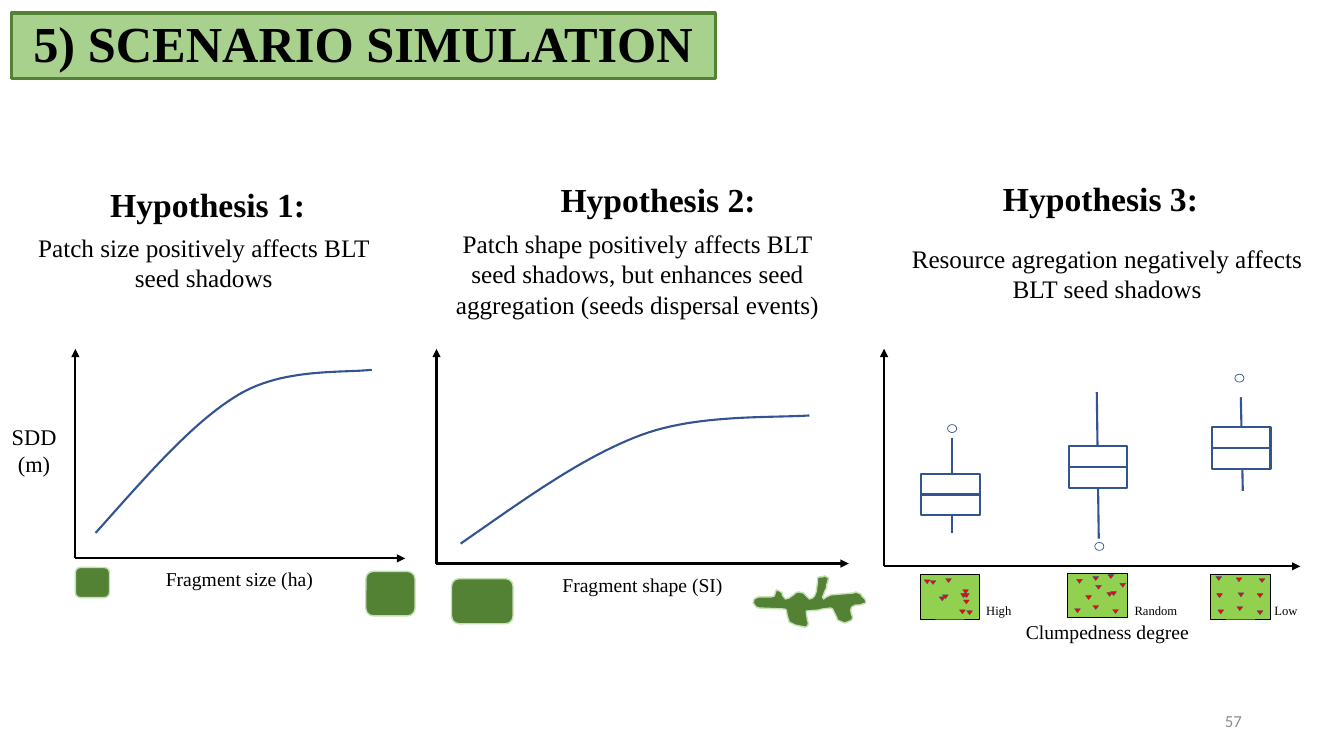
from lxml import etree
from pptx import Presentation
from pptx.dml.color import RGBColor
from pptx.enum.shapes import MSO_CONNECTOR, MSO_SHAPE
from pptx.enum.text import MSO_ANCHOR, PP_ALIGN
from pptx.oxml.ns import qn
from pptx.util import Cm, Pt

RECT, ROUND = MSO_SHAPE.RECTANGLE, MSO_SHAPE.ROUNDED_RECTANGLE
OVAL, MERGE = MSO_SHAPE.OVAL, MSO_SHAPE.FLOWCHART_MERGE
LINE = MSO_CONNECTOR.STRAIGHT
TOP, MIDDLE, BOTTOM = MSO_ANCHOR.TOP, MSO_ANCHOR.MIDDLE, MSO_ANCHOR.BOTTOM
CENTER, RIGHT = PP_ALIGN.CENTER, PP_ALIGN.RIGHT

BLACK = RGBColor(0x00, 0x00, 0x00)
WHITE = RGBColor(0xFF, 0xFF, 0xFF)
GRAY = RGBColor(0x8C, 0x8C, 0x8C)
BLUE = RGBColor(0x32, 0x54, 0x91)
RED = RGBColor(0xFF, 0x00, 0x00)
FOREST = RGBColor(0x54, 0x82, 0x35)
PALE = RGBColor(0xC5, 0xE0, 0xB4)
LIGHT = RGBColor(0xA9, 0xD1, 0x8E)
LIME = RGBColor(0x92, 0xD0, 0x50)

# Two cubic pieces of the rising curve, in a unit box
CURVE = [((0, 1), (0.18, 0.66), (0.35, 0.32), (0.52, 0.15)),
         ((0.52, 0.15), (0.68, -0.01), (0.89, 0.02), (1, 0))]

# Outline of the irregular fragment, on a 112 by 51 grid
BLOB = [
    (21, 20), (23, 14), (26, 15), (29, 17), (29, 19), (32, 23), (36, 22),
    (37, 21), (40, 19), (42, 17), (45, 16), (50, 17), (53, 20), (55, 22),
    (56, 23), (59, 22), (61, 20), (63, 15), (63, 13), (64, 7), (64, 2),
    (66, 1), (69, 1), (71, 0), (75, 2), (74, 7), (73, 9), (73, 12),
    (71, 16), (70, 19), (69, 21), (70, 23), (73, 21), (77, 19), (100, 17),
    (102, 16), (107, 18), (108, 20), (111, 23), (112, 25), (112, 27),
    (106, 29), (102, 29), (98, 31), (97, 34), (98, 39), (99, 41), (98, 44),
    (96, 45), (91, 47), (84, 44), (83, 41), (82, 39), (80, 35), (79, 33),
    (77, 32), (69, 33), (65, 34), (53, 35), (53, 37), (54, 44), (55, 47),
    (54, 50), (52, 51), (42, 49), (40, 48), (38, 47), (36, 46), (34, 40),
    (33, 34), (31, 33), (6, 32), (3, 31), (0, 27), (1, 23), (5, 21), (18, 21)]

# Seeds in each patch, from its top left corner
HIGH = [(0.64, 0.1), (1.07, 0.38), (0.25, 0.15), (1.02, 0.48), (1.09, 0.48),
        (1.17, 0.91), (1.09, 0.64), (0.48, 0.56), (0.1, 0.13), (0.56, 0.51),
        (0.99, 0.89)]
RANDOM = [(0.64, 0.08), (1.32, 0.25), (0.23, 0.15), (0.99, 0.48),
          (1.09, 0.46), (1.14, 0.91), (0.18, 0.89), (0.46, 0.56),
          (0.64, 0.81), (1.02, 0.03), (0.71, 0.3)]
LOW = [(0.64, 0.08), (0.13, 0.05), (1.17, 0.48), (1.17, 0.91), (0.18, 0.89),
       (0.69, 0.46), (0.66, 0.81), (1.22, 0.1), (0.15, 0.48)]

# Label, its centre, patch x and y, seeds, box top, whisker ends and their
# x, outlier x and y
PLOTS = [
    ("High", 1.98, 0.91, 5.69, HIGH, 3.15, (2.24, 4.65), (0.79, 0.79),
     (0.69, 1.91)),
    ("Random", 2.23, 4.62, 5.66, RANDOM, 2.46, (1.09, 4.78), (0.74, 0.79),
     (0.69, 4.88)),
    ("Low", 1.9, 8.23, 5.69, LOW, 1.98, (1.22, 3.58), (0.76, 0.81),
     (0.61, 0.64))]


def write(shape, text, size=14, bold=False, color=BLACK, align=CENTER,
          anchor=TOP, font="Times New Roman", pad=0.25, space=1.0):
    frame = shape.text_frame
    frame.word_wrap = True
    frame.vertical_anchor = anchor
    frame.margin_left = frame.margin_right = Cm(pad)
    par = frame.paragraphs[0]
    par.text = text
    par.alignment = align
    par.line_spacing = space
    for run in par.runs:
        run.font.name = font
        run.font.size = Pt(size)
        run.font.bold = bold
        run.font.color.rgb = color


def label(slide, text, x, y, w, h, **style):
    write(slide.shapes.add_textbox(Cm(x), Cm(y), Cm(w), Cm(h)), text, **style)


def paint(shape, fill, line, width):
    shape.shadow.inherit = False
    if fill is None:
        shape.fill.background()
    else:
        shape.fill.solid()
        shape.fill.fore_color.rgb = fill
    shape.line.color.rgb = line
    shape.line.width = Pt(width)


def block(slide, kind, x, y, w, h, fill, line, width):
    shape = slide.shapes.add_shape(kind, Cm(x), Cm(y), Cm(w), Cm(h))
    paint(shape, fill, line, width)
    return shape


def stroke(slide, x1, y1, x2, y2, color=BLUE, arrow=False):
    line = slide.shapes.add_connector(LINE, Cm(x1), Cm(y1), Cm(x2), Cm(y2))
    line.line.color.rgb = color
    line.line.width = Pt(1.5)
    if arrow:
        etree.SubElement(line.line._get_or_add_ln(), qn("a:tailEnd"),
                         type="triangle")
    etree.SubElement(line._element.spPr, qn("a:effectLst"))


def outline(slide, points, close, fill, line, width):
    dots = [(Cm(x), Cm(y)) for x, y in points]
    build = slide.shapes.build_freeform(*dots[0])
    build.add_line_segments(dots[1:], close=close)
    paint(build.convert_to_shape(), fill, line, width)


def axes(slide, x, y, w, h):
    stroke(slide, x, y + h, x, y, BLACK, arrow=True)
    stroke(slide, x, y + h, x + w, y + h, BLACK, arrow=True)


def curve(slide, x, y, w, h, steps=24):
    points = []
    for a, b, c, d in CURVE:
        for i in range(steps + 1):
            t = i / steps
            u = 1 - t
            px, py = (u**3 * a[k] + 3 * u * u * t * b[k]
                      + 3 * u * t * t * c[k] + t**3 * d[k] for k in (0, 1))
            points.append((x + px * w, y + py * h))
    outline(slide, points, False, None, BLUE, 1.5)


def patch(slide, x, y, w, h):
    block(slide, ROUND, x, y, w, h, FOREST, PALE, 1)


def title(slide, x, y, w, h):
    bar = block(slide, RECT, x, y, w, h, LIGHT, FOREST, 2.25)
    write(bar, "5) SCENARIO SIMULATION", size=36, bold=True, anchor=BOTTOM,
          space=0.9)


def claim(slide, head, text, x, y, w, h, indent, drop):
    label(slide, head, x + indent, y, 5.49, 1.27, size=24, bold=True)
    label(slide, text, x, y + drop, w, h - drop, size=18)


def size_plot(slide, x, y, w, h):
    axes(slide, x, y, w, h)
    label(slide, "SDD\n(m)", x - 1.9, y + 1.75, 1.72, 1.63, size=16, pad=0)
    patch(slide, x, y + 5.51, 0.86, 0.76)
    patch(slide, x + 7.32, y + 5.61, 1.24, 1.12)
    label(slide, "Fragment size (ha)", x + 1.47, y + 5.38, 5.33, 1)
    curve(slide, x + 0.51, y + 0.53, 6.96, 4.11)


def shape_plot(slide, x, y, w, h):
    axes(slide, x, y, w, h)
    patch(slide, x + 0.38, y + 5.79, 1.55, 1.14)
    unit = 2.84 / 112
    blob = [(x + 7.98 + px * unit, y + 5.72 + py * unit) for px, py in BLOB]
    outline(slide, blob, True, FOREST, PALE, 1)
    label(slide, "Fragment shape (SI)", x + 1.88, y + 5.51, 6.63, 1)
    curve(slide, x + 0.61, y + 1.68, 8.79, 3.23)


def clump_plot(slide, x, y, w, h):
    axes(slide, x, y, w, h)
    label(slide, "Clumpedness degree", x + 0.18, y + 6.71, 10.9, 1)
    for name, mid, left, low, seeds, top, ends, lean, spot in PLOTS:
        px, py = x + left, y + low
        # Patch with seeds
        block(slide, RECT, px, py, 1.5, 1.12, LIME, BLACK, 0.5)
        for sx, sy in seeds:
            block(slide, MERGE, px + sx, py + sy, 0.15, 0.1, RED, BLUE, 0.25)
        label(slide, name, px + mid - 1.2, y + 6.28, 2.4, 0.8, size=9)
        # Box plot
        stroke(slide, px + lean[0], y + ends[0], px + lean[1], y + ends[1])
        block(slide, RECT, px + 0.03, y + top, 1.48, 1.04, WHITE, BLUE, 1.5)
        stroke(slide, px + 1.51, y + top + 0.52, px + 0.03, y + top + 0.52)
        block(slide, OVAL, px + spot[0], y + spot[1], 0.23, 0.2, WHITE, BLUE,
              0.5)


def main():
    deck = Presentation()
    deck.slide_width, deck.slide_height = Cm(33.87), Cm(19.05)
    slide = deck.slides.add_slide(deck.slide_layouts[6])
    title(slide, 0.28, 0.33, 17.75, 1.65)
    # Hypotheses
    claim(slide, "Hypothesis 1:",
          "Patch size positively affects BLT seed shadows",
          0.51, 4.5, 9.25, 3.02, indent=1.98, drop=1.22)
    claim(slide, "Hypothesis 2:", "Patch shape positively affects BLT seed "
          "shadows, but enhances seed aggregation (seeds dispersal events)",
          11, 4.39, 10.13, 3.81, indent=2.84, drop=1.24)
    claim(slide, "Hypothesis 3:",
          "Resource agregation negatively affects BLT seed shadows",
          22.53, 4.37, 10.74, 3.43, indent=2.46, drop=1.63)
    # Expected patterns
    size_plot(slide, 1.9, 8.79, 8.31, 5.28)
    shape_plot(slide, 11, 8.79, 10.39, 5.41)
    clump_plot(slide, 22.28, 8.79, 10.49, 5.48)
    # Page number
    label(slide, "57", 23.93, 17.65, 7.62, 1.02, size=12, color=GRAY,
          align=RIGHT, anchor=MIDDLE, font="Calibri")
    deck.save("out.pptx")


if __name__ == "__main__":
    main()
